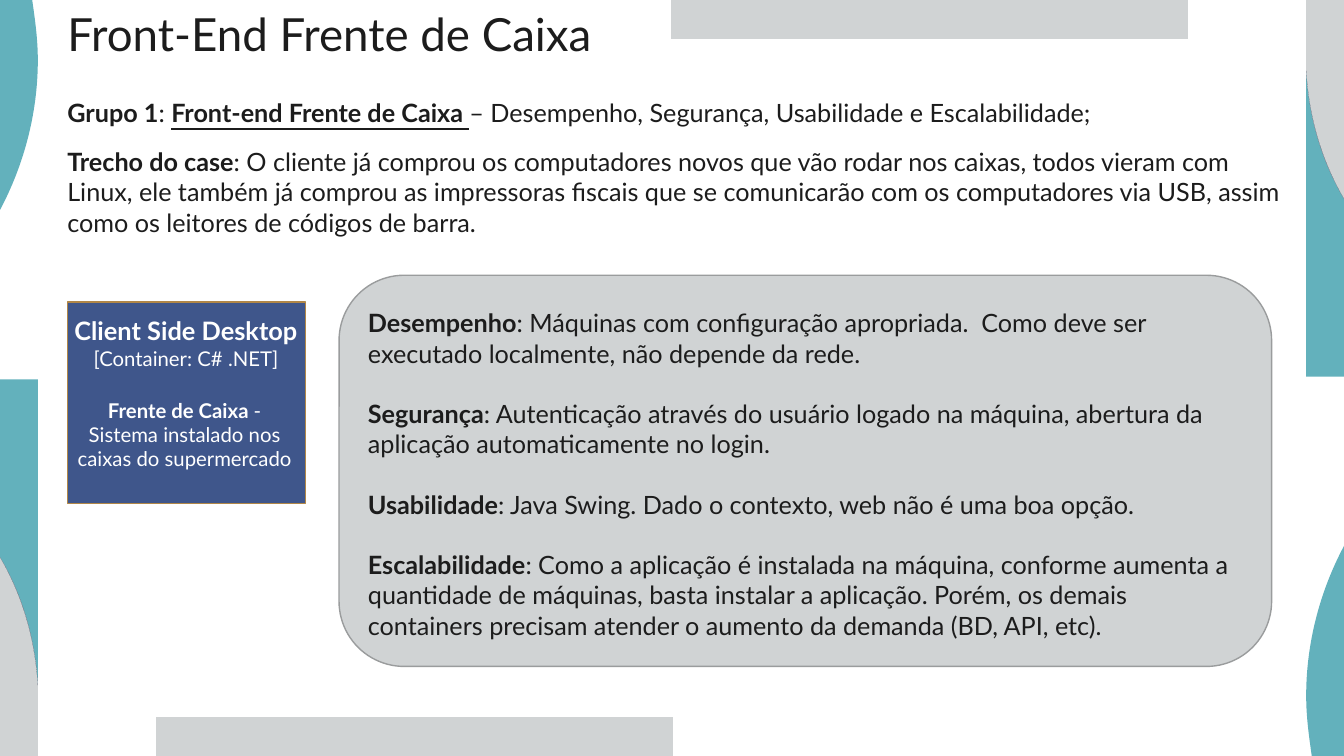
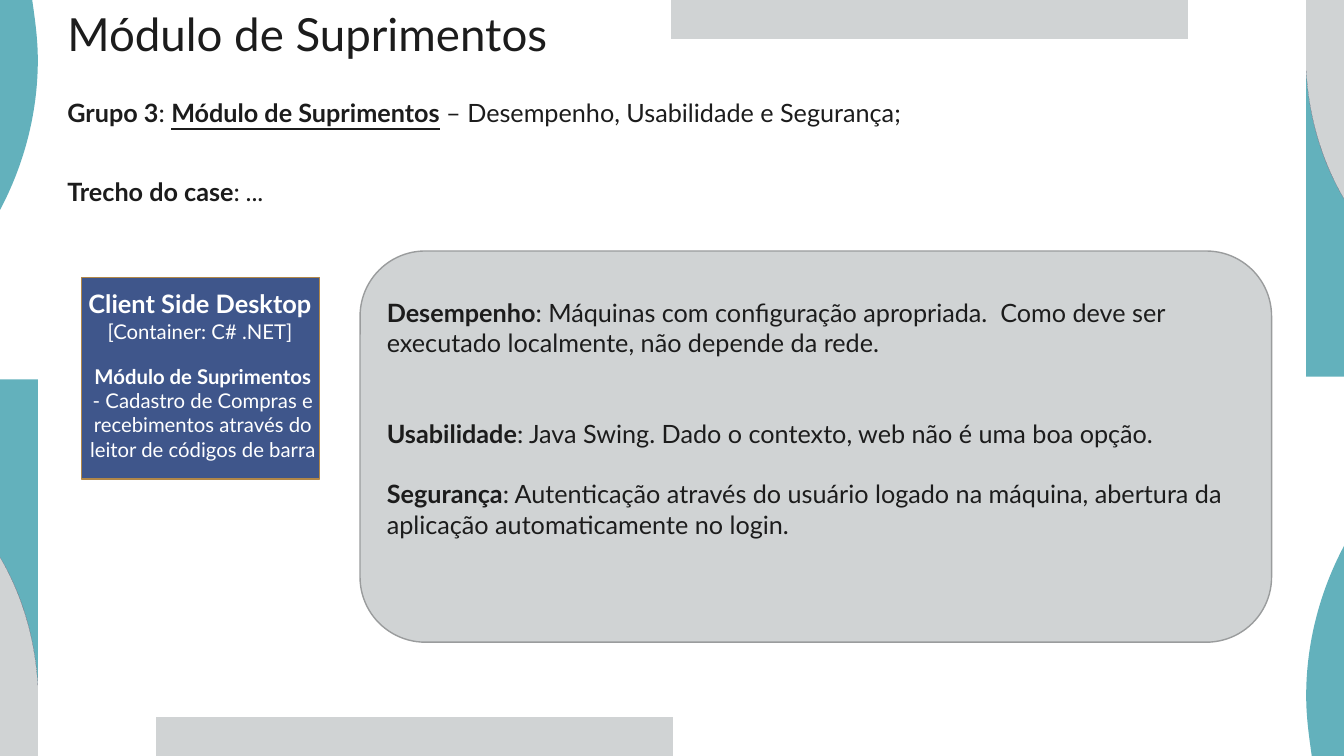
from lxml import etree
from pptx import Presentation
from pptx.dml.color import RGBColor
from pptx.enum.shapes import MSO_SHAPE
from pptx.enum.text import MSO_ANCHOR, PP_ALIGN
from pptx.oxml.ns import qn
from pptx.util import Pt

RECTANGLE = MSO_SHAPE.RECTANGLE
ROUNDED = MSO_SHAPE.ROUNDED_RECTANGLE
LEFT, CENTER = PP_ALIGN.LEFT, PP_ALIGN.CENTER
TOP = MSO_ANCHOR.TOP

COLORS = {
    "ink": "1C1C1C", "white": "FFFFFF", "teal": "63B1BC", "gray": "D0D3D4",
    "navy": "1F2A44", "panel_line": "9A9C9D", "card": "3F568B", "card_line": "B18748",
}
FONT = "Lato"
WIDTH, HEIGHT = 960, 540
MARGIN = 41
TITLE_SIZE, BODY_SIZE, CARD_TITLE_SIZE, CARD_SIZE = 32.6, 18, 18.1, 14.5
LINE_GAP = 21.6  # one line of body text
PANEL_RIGHT, PANEL_HEIGHT = 908.3, 279.4
CARD_WIDTH, CARD_HEIGHT = 170, 144

# An outline is a start point, then segments: one point is a line, three are a curve
ARC = [(16, 425), (25, 456), (27, 489)]
ORNAMENTS = [
    ([[(23, 0)], [(0, 0)], [(0, 150)], [(17, 118), (27, 81), (27, 43)],
      [(27, 28), (25, 14), (23, 0)]], "teal"),
    ([[(111.7, 512)], [(480.4, 512)], [(480.4, HEIGHT)], [(111.7, HEIGHT)]], "gray"),
    ([[(27, 271)], [(0, 271)], [(0, 398)], ARC], "teal"),
    ([[(27, HEIGHT)], [(0, HEIGHT)], [(0, 398)], ARC], "gray"),
    ([[(0, 398)], ARC, [(27, 489.5)], [(25, 456.3), (16, 425.3), (0, 398)]], "navy"),
]

# Runs are (text, style): b bold, i italic, u underlined
PERFORMANCE = [("Desempenho", "b"),
               (": Máquinas com configuração apropriada.  Como deve ser executado "
                "localmente, não depende da rede.", "")]
SECURITY = [("Segurança", "b"),
            (": Autenticação através do usuário logado na máquina, abertura da "
             "aplicação automaticamente no login.", "")]
USABILITY = [("Usabilidade", "b"),
             (": Java Swing. Dado o contexto, web não é uma boa opção.", "")]
SCALABILITY = [("Escalabilidade", "b"),
               (": Como a aplicação é instalada na máquina, conforme aumenta a "
                "quantidade de máquinas, basta instalar a aplicação. Porém, os demais "
                "containers precisam atender o aumento da demanda (BD, API, etc).", "")]

SLIDES = [
    {
        "title": "Front-End Frente de Caixa",
        "group": [("Grupo 1", "b"), (": ", ""), ("Front-end Frente de Caixa ", "bu"),
                  ("– Desempenho, Segurança, Usabilidade e Escalabilidade;", "")],
        "group_height": 29,
        "case_top": 101, "case_height": 73,
        "case": [("Trecho do case", "b"),
                 (": O cliente já comprou os computadores novos que vão rodar nos caixas, "
                  "todos vieram com Linux, ele também já comprou as impressoras fiscais que "
                  "se comunicarão com os computadores via USB, assim como os leitores de "
                  "códigos de barra.", "")],
        "panel": (242.2, 196.6), "answers_at": (255.7, 216.2), "answers_height": 269,
        "answers": [(0, PERFORMANCE), (1, SECURITY), (1, USABILITY), (1, SCALABILITY)],
        "card": (48.2, 215.7), "heading_at": (41, 221.7),
        "card_text_at": (44, 280.7), "card_text_height": 60,
        "card_text": [("Frente de Caixa ", "b"),
                      ("- Sistema instalado nos caixas do supermercado", "")],
    },
    {
        "title": "Módulo de Suprimentos",
        "group": [("Grupo 3", "b"), (": ", ""), ("Módulo de Suprimentos", "bu"),
                  (" – Desempenho, Usabilidade e Segurança;", "")],
        "group_height": 51,
        "case_top": 122.5, "case_height": 29,
        "case": [("Trecho do case", "b"), (": ", ""), ("...", "i")],
        "panel": (257.2, 179.3), "answers_at": (269.2, 208.8), "answers_height": 204,
        "answers": [(0, PERFORMANCE), (2, USABILITY), (1, SECURITY)],
        "card": (58.3, 198.1), "heading_at": (51, 202.5),
        "card_text_at": (57, 256.3), "card_text_height": 78,
        "card_text": [("Módulo de Suprimentos ", "b"),
                      ("- Cadastro de Compras e recebimentos através do leitor de "
                       "códigos de barra", "")],
    },
]


def color(name):
    return RGBColor.from_string(COLORS[name])


def add_outline(slide, segments, fill):
    corners = [(Pt(x), Pt(y)) for segment in segments for x, y in segment]
    builder = slide.shapes.build_freeform(*corners[0], scale=1.0)
    builder.add_line_segments(corners[1:], close=True)
    outline = builder.convert_to_shape()
    outline.fill.solid()
    outline.fill.fore_color.rgb = color(fill)
    outline.line.fill.background()
    outline.shadow.inherit = False
    # Join each three control points into one curve
    lines = iter(list(outline.element.iter(qn("a:lnTo"))))
    for segment in segments[1:]:
        parts = [next(lines) for _ in segment]
        if len(parts) == 3:
            curve = etree.Element(qn("a:cubicBezTo"))
            parts[0].addprevious(curve)
            for part in parts:
                curve.append(part[0])
                part.getparent().remove(part)
    return outline


def add_box(slide, kind, left, top, width, height, fill, line):
    box = slide.shapes.add_shape(kind, Pt(left), Pt(top), Pt(width), Pt(height))
    box.fill.solid()
    box.fill.fore_color.rgb = color(fill)
    box.line.color.rgb = color(line)
    box.line.width = Pt(1)
    box.shadow.inherit = False


def add_text(slide, left, top, width, height, paragraphs, ink="ink", align=LEFT, spacing=None):
    """Each paragraph is (size, space before, runs)."""
    box = slide.shapes.add_textbox(Pt(left), Pt(top), Pt(width), Pt(height))
    frame = box.text_frame
    frame.word_wrap = True
    frame.vertical_anchor = TOP
    for index, (size, gap, runs) in enumerate(paragraphs):
        para = frame.add_paragraph() if index else frame.paragraphs[0]
        para.alignment = align
        para.space_before = Pt(gap)
        if spacing:
            para.line_spacing = spacing
        for text, style in runs:
            span = para.add_run()
            span.text = text
            span.font.name = FONT
            span.font.size = Pt(size)
            span.font.color.rgb = color(ink)
            span.font.bold = "b" in style
            span.font.italic = "i" in style
            span.font.underline = "u" in style


def decorate(layout, slide):
    """Draw the edge ornaments, then move them to the layout all slides share."""
    for holder in list(layout.placeholders):
        layout.shapes.element.remove(holder.element)
    for segments, fill in ORNAMENTS:
        # Each ornament returns half a turn around the slide centre
        turned = [[(WIDTH - x, HEIGHT - y) for x, y in segment] for segment in segments]
        for outline in (segments, turned):
            layout.shapes.element.append(add_outline(slide, outline, fill).element)


def add_panel(slide, content):
    left, top = content["panel"]
    add_box(slide, ROUNDED, left, top, PANEL_RIGHT - left, PANEL_HEIGHT, "gray", "panel_line")


def add_answers(slide, content):
    answers = [(BODY_SIZE, lines * LINE_GAP, runs) for lines, runs in content["answers"]]
    add_text(slide, *content["answers_at"], 639.4, content["answers_height"], answers)


def add_card(slide, content):
    add_box(slide, RECTANGLE, *content["card"], CARD_WIDTH, CARD_HEIGHT, "card", "card_line")
    heading = [(CARD_TITLE_SIZE, 0, [("Client Side Desktop", "b")]),
               (CARD_SIZE, 0, [("[Container: C# .NET]", "")])]
    add_text(slide, *content["heading_at"], 183.6, 47, heading, "white", CENTER)
    add_text(slide, *content["card_text_at"], 175.7, content["card_text_height"],
             [(CARD_SIZE, 0, content["card_text"])], "white", CENTER)


def fill_slide(slide, content):
    add_panel(slide, content)
    # Title and introduction
    add_text(slide, MARGIN, 5, 855, 55, [(TITLE_SIZE, 0, [(content["title"], "")])], spacing=0.9)
    add_text(slide, MARGIN, 66.1, 785, content["group_height"],
             [(BODY_SIZE, 0, content["group"])])
    # Requirements and container
    add_answers(slide, content)
    add_text(slide, MARGIN, content["case_top"], 886.3, content["case_height"],
             [(BODY_SIZE, 0, content["case"])])
    add_card(slide, content)


def main():
    deck = Presentation()
    deck.slide_width, deck.slide_height = Pt(WIDTH), Pt(HEIGHT)
    layout = deck.slide_layouts[6]
    pages = [deck.slides.add_slide(layout) for _ in SLIDES]
    decorate(layout, pages[0])
    for page, content in zip(pages, SLIDES):
        fill_slide(page, content)
    deck.save("out.pptx")


if __name__ == "__main__":
    main()
